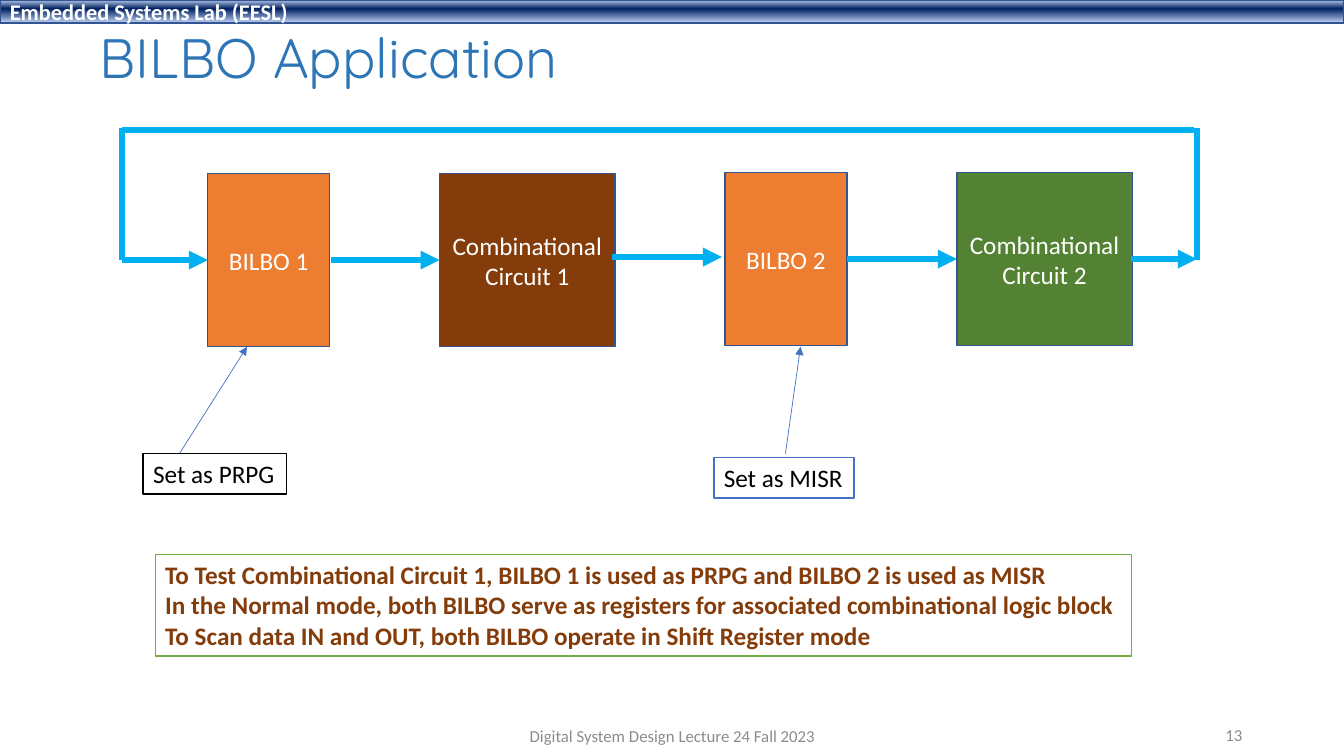
"""Build the BILBO application slide with its block diagram."""
from copy import deepcopy
from dataclasses import dataclass

from lxml.etree import SubElement
from pptx import Presentation
from pptx.dml.color import RGBColor
from pptx.enum.shapes import MSO_CONNECTOR, MSO_SHAPE
from pptx.enum.text import MSO_ANCHOR, MSO_AUTO_SIZE, PP_ALIGN
from pptx.oxml.ns import qn
from pptx.shapes.autoshape import Shape
from pptx.slide import Slide
from pptx.text.text import TextFrame
from pptx.util import Inches, Pt


@dataclass(frozen=True)
class Theme:
    """Colours, fonts and type sizes of the slide."""
    white: str = "FFFFFF"
    black: str = "000000"
    title: str = "2E75B6"
    outline: str = "325491"
    register: str = "ED7D31"
    brown: str = "843C0B"
    green: str = "548235"
    data_path: str = "00B0F0"
    pointer: str = "4472C4"
    statement_border: str = "70AD47"
    footer: str = "8C8C8C"
    banner_stops: tuple = ((0.02, "ABC0E4"), (0.38, "002060"), (0.93, "ACC1E5"))
    title_font: str = "Quicksand"
    body_font: str = "Calibri"
    title_size: float = 39.6
    banner_size: float = 16
    body_size: float = 18
    footer_size: float = 12
    data_path_width: float = 4.5
    pointer_width: float = 0.5


THEME = Theme()


@dataclass(frozen=True)
class Box:
    """A position and size in inches."""
    left: float
    top: float
    width: float
    height: float

    def lengths(self) -> tuple:
        """Return the four lengths for python-pptx."""
        return tuple(Inches(n) for n in (self.left, self.top, self.width, self.height))


@dataclass(frozen=True)
class Block:
    """A filled block of the circuit."""
    text: str
    box: Box
    fill: str


@dataclass(frozen=True)
class Note:
    """A bordered box that fits its text."""
    text: str
    box: Box
    border: str
    color: str = THEME.black
    bold: bool = False


@dataclass(frozen=True)
class Link:
    """A straight line, with an arrowhead at its end if asked for."""
    start: tuple
    end: tuple
    arrow: bool = True
    color: str = THEME.data_path
    width: float = THEME.data_path_width


@dataclass(frozen=True)
class Caption:
    """A line of footer text."""
    text: str
    box: Box
    alignment: PP_ALIGN


BLOCKS = (
    Block("BILBO 1", Box(2.06, 1.72, 1.21, 1.72), THEME.register),
    Block("Combinational Circuit 1", Box(4.36, 1.72, 1.74, 1.72), THEME.brown),
    Block("BILBO 2", Box(7.19, 1.71, 1.21, 1.72), THEME.register),
    Block("Combinational Circuit 2", Box(9.49, 1.71, 1.74, 1.72), THEME.green),
)
LINKS = (
    Link((3.28, 2.58), (4.36, 2.58)),
    Link((6.07, 2.55), (7.16, 2.55)),
    Link((8.4, 2.57), (9.49, 2.57)),
    Link((11.22, 2.57), (11.87, 2.57)),
    Link((11.87, 2.58), (11.87, 1.27), arrow=False),
    Link((11.84, 1.29), (1.21, 1.29), arrow=False),
    Link((1.21, 1.27), (1.21, 2.58), arrow=False),
    Link((1.21, 2.58), (2.06, 2.58)),
    Link((1.78, 4.5), (2.45, 3.44), color=THEME.pointer, width=THEME.pointer_width),
    Link((7.79, 4.5), (7.94, 3.44), color=THEME.pointer, width=THEME.pointer_width),
)
STATEMENTS = (
    "To Test Combinational Circuit 1, BILBO 1 is used as PRPG and BILBO 2 is used as MISR",
    "In the Normal mode, both BILBO serve as registers for associated combinational logic block",
    "To Scan data IN and OUT, both BILBO operate in Shift Register mode",
)
NOTES = (
    Note("Set as PRPG", Box(1.42, 4.5, 1.42, 0.4), THEME.black),
    Note("Set as MISR", Box(7.08, 4.54, 1.39, 0.4), THEME.pointer),
    Note("\n".join(STATEMENTS), Box(1.54, 5.5, 9.68, 1.01),
         THEME.statement_border, THEME.brown, True),
)
CAPTIONS = (
    Caption("13", Box(9.42, 7.09, 3, 0.4), PP_ALIGN.RIGHT),
    Caption("Digital System Design Lecture 24 Fall 2023", Box(4.42, 7.1, 4.5, 0.4),
            PP_ALIGN.CENTER),
)


def write(frame: TextFrame, text: str, size: float, color: str,
          alignment: PP_ALIGN = PP_ALIGN.LEFT, bold: bool = False,
          font: str = THEME.body_font, anchor: MSO_ANCHOR = MSO_ANCHOR.MIDDLE) -> None:
    """Fill a text frame and format its runs."""
    frame.text = text
    frame.word_wrap = True
    frame.vertical_anchor = anchor
    for paragraph in frame.paragraphs:
        paragraph.alignment = alignment
        for run in paragraph.runs:
            run.font.name = font
            run.font.size = Pt(size)
            run.font.bold = bold
            run.font.color.rgb = RGBColor.from_string(color)


def add_box(slide: Slide, box: Box, fill: str, border: str) -> Shape:
    """Add a rectangle with a solid fill and a thin border."""
    shape = slide.shapes.add_shape(MSO_SHAPE.RECTANGLE, *box.lengths())
    shape.shadow.inherit = False
    shape.fill.solid()
    shape.fill.fore_color.rgb = RGBColor.from_string(fill)
    shape.line.color.rgb = RGBColor.from_string(border)
    shape.line.width = Pt(1)
    return shape


def add_banner(slide: Slide) -> None:
    """Add the gradient band with the lab name."""
    shape = add_box(slide, Box(0, 0, 13.33, 0.23), THEME.white, THEME.outline)
    shape.fill.gradient()
    shape.fill.gradient_angle = 270
    stop_list = shape._element.spPr.find(".//" + qn("a:gsLst"))
    stop_list.append(deepcopy(stop_list[0]))
    for stop, (position, color) in zip(shape.fill.gradient_stops, THEME.banner_stops):
        stop.position = position
        stop.color.rgb = RGBColor.from_string(color)
    write(shape.text_frame, "Embedded Systems Lab (EESL)", THEME.banner_size,
          THEME.white, bold=True)


def add_title(slide: Slide) -> None:
    """Place and format the title placeholder."""
    title = slide.shapes.title
    title.left, title.top, title.width, title.height = Box(0.89, 0.18, 5.21, 0.85).lengths()
    write(title.text_frame, "BILBO Application", THEME.title_size, THEME.title,
          font=THEME.title_font)
    title.text_frame.auto_size = MSO_AUTO_SIZE.NONE
    title.text_frame.paragraphs[0].line_spacing = 0.9


def add_block(slide: Slide, block: Block) -> None:
    """Add a circuit block with a centred label."""
    shape = add_box(slide, block.box, block.fill, THEME.outline)
    write(shape.text_frame, block.text, THEME.body_size, THEME.white, PP_ALIGN.CENTER)


def add_note(slide: Slide, note: Note) -> None:
    """Add a bordered note."""
    frame = add_box(slide, note.box, THEME.white, note.border).text_frame
    write(frame, note.text, THEME.body_size, note.color, bold=note.bold,
          anchor=MSO_ANCHOR.TOP)
    frame.word_wrap = False
    frame.auto_size = MSO_AUTO_SIZE.SHAPE_TO_FIT_TEXT


def add_link(slide: Slide, link: Link) -> None:
    """Add a line or an arrow."""
    ends = [Inches(n) for n in link.start + link.end]
    connector = slide.shapes.add_connector(MSO_CONNECTOR.STRAIGHT, *ends)
    connector.line.color.rgb = RGBColor.from_string(link.color)
    connector.line.width = Pt(link.width)
    if link.arrow:
        SubElement(connector.line._get_or_add_ln(), qn("a:tailEnd"), type="triangle")
    SubElement(connector._element.spPr, qn("a:effectLst"))


def main() -> None:
    """Build and save the presentation."""
    presentation = Presentation()
    presentation.slide_width, presentation.slide_height = Inches(13.33), Inches(7.5)
    slide = presentation.slides.add_slide(presentation.slide_layouts[5])
    add_banner(slide)
    add_title(slide)
    for block in BLOCKS:
        add_block(slide, block)
    for link in LINKS:
        add_link(slide, link)
    for note in NOTES:
        add_note(slide, note)
    for caption in CAPTIONS:
        text_box = slide.shapes.add_textbox(*caption.box.lengths())
        write(text_box.text_frame, caption.text, THEME.footer_size, THEME.footer,
              caption.alignment)
    presentation.save("out.pptx")


if __name__ == "__main__":
    main()
